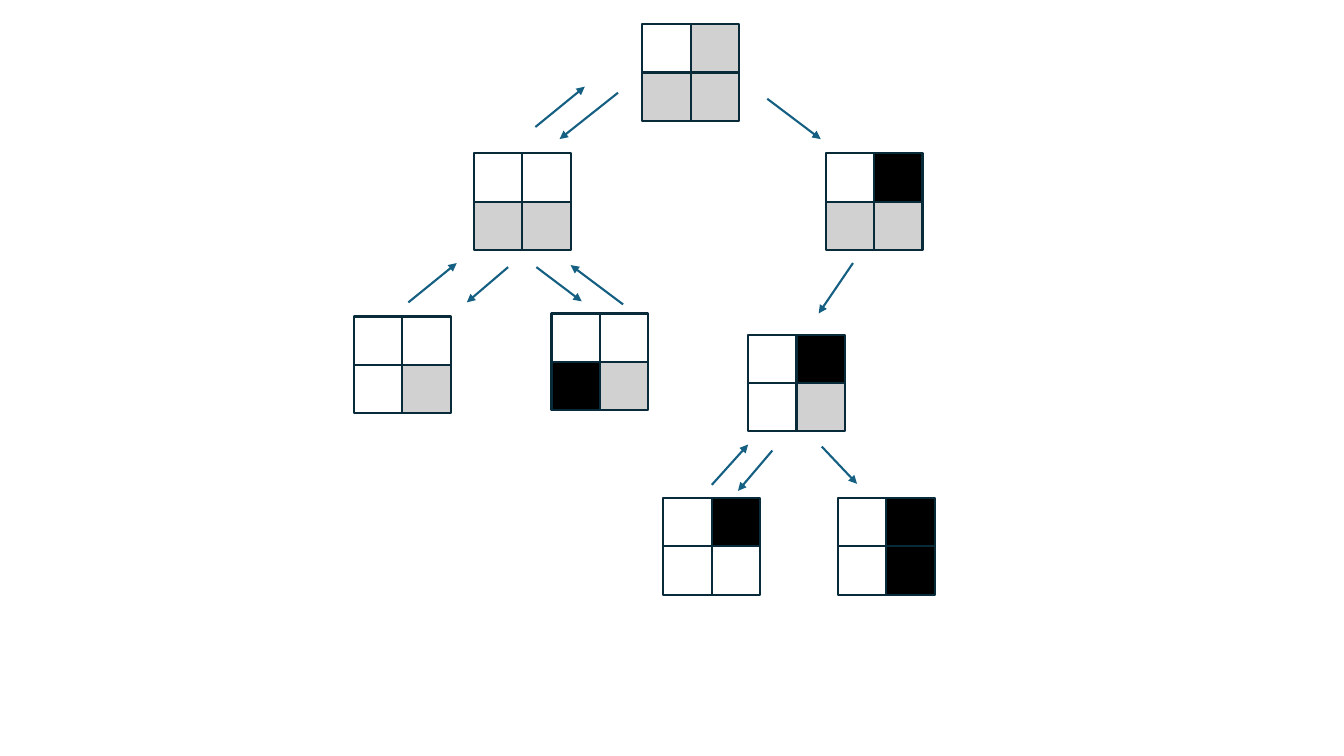
"""Draw a search tree of two-by-two boards joined by arrows."""
from dataclasses import dataclass

from lxml import etree
from pptx import Presentation
from pptx import util as u
from pptx.dml.color import RGBColor
from pptx.enum import shapes
from pptx.oxml import ns
from pptx.slide import Slide

WHITE = RGBColor(0xFF, 0xFF, 0xFF)
GRAY = RGBColor(0xD1, 0xD1, 0xD1)
BLACK = RGBColor(0x00, 0x00, 0x00)
OUTLINE = RGBColor(0x09, 0x2A, 0x39)
ARROW = RGBColor(0x15, 0x60, 0x82)
FILLS = {"W": WHITE, "G": GRAY, "B": BLACK}
CELL = 0.48
LINE_WIDTH = u.Pt(1.5)


@dataclass(frozen=True)
class Board:
    left: float
    top: float
    cells: str


@dataclass(frozen=True)
class Arrow:
    start: tuple[float, float]
    end: tuple[float, float]


BOARDS = [
    Board(6.37, 0.24, "WGGG"),
    Board(4.7, 1.52, "WWGG"),
    Board(8.19, 1.52, "WBGG"),
    Board(3.51, 3.14, "WWWG"),
    Board(5.47, 3.11, "WWBG"),
    Board(7.42, 3.32, "WBWG"),
    Board(6.58, 4.94, "WBWW"),
    Board(8.31, 4.94, "WBWB"),
]

ARROWS = [
    Arrow((6.13, 0.92), (5.55, 1.38)),
    Arrow((5.31, 1.26), (5.8, 0.86)),
    Arrow((7.61, 0.98), (8.14, 1.38)),
    Arrow((5.04, 2.65), (4.63, 3)),
    Arrow((4.05, 3), (4.53, 2.61)),
    Arrow((5.32, 2.65), (5.77, 2.99)),
    Arrow((6.18, 3.02), (5.66, 2.63)),
    Arrow((8.46, 2.61), (8.12, 3.11)),
    Arrow((7.66, 4.47), (7.32, 4.87)),
    Arrow((7.06, 4.81), (7.42, 4.41)),
    Arrow((8.15, 4.43), (8.5, 4.8)),
]


def draw_board(slide: Slide, board: Board) -> None:
    group = slide.shapes.add_group_shape()
    for index, state in enumerate(board.cells):
        row, column = divmod(index, 2)
        shape = group.shapes.add_shape(
            shapes.MSO_SHAPE.RECTANGLE,
            u.Inches(board.left + column * CELL),
            u.Inches(board.top + row * CELL),
            u.Inches(CELL),
            u.Inches(CELL),
        )
        shape.shadow.inherit = False
        shape.fill.solid()
        formats = {
            shape.fill.fore_color: {"rgb": FILLS[state]},
            shape.line.color: {"rgb": OUTLINE},
            shape.line: {"width": LINE_WIDTH},
        }
        for target, values in formats.items():
            for name, value in values.items():
                setattr(target, name, value)


def draw_arrow(slide: Slide, arrow: Arrow) -> None:
    points = [u.Inches(value) for value in (*arrow.start, *arrow.end)]
    connector = slide.shapes.add_connector(shapes.MSO_CONNECTOR.STRAIGHT, *points)
    connector.line.color.rgb = ARROW
    connector.line.width = LINE_WIDTH
    properties = connector._element.spPr
    outline = properties.find(ns.qn("a:ln"))
    etree.SubElement(outline, ns.qn("a:tailEnd"), type="triangle")
    etree.SubElement(properties, ns.qn("a:effectLst"))


def main() -> None:
    presentation = Presentation()
    presentation.slide_width = u.Inches(13.33)
    presentation.slide_height = u.Inches(7.5)
    slide = presentation.slides.add_slide(presentation.slide_layouts[6])
    for board in BOARDS:
        draw_board(slide, board)
    for arrow in ARROWS:
        draw_arrow(slide, arrow)
    presentation.save("out.pptx")


if __name__ == "__main__":
    main()
